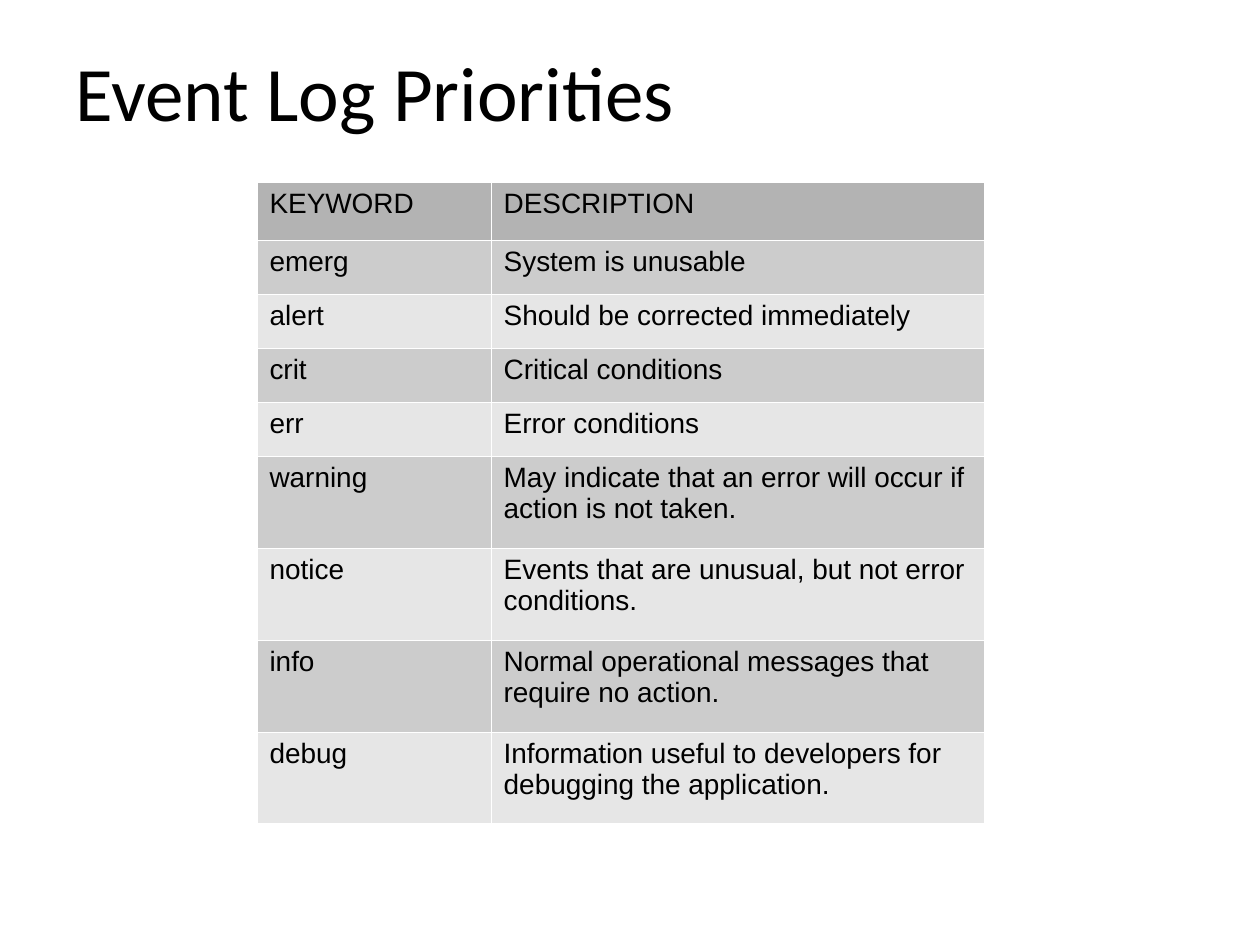
from dataclasses import dataclass

from lxml import etree
from pptx import Presentation
from pptx.dml.color import RGBColor
from pptx.enum.text import MSO_ANCHOR
from pptx.oxml.ns import qn
from pptx.util import Cm, Pt

TOP = MSO_ANCHOR.TOP
BLACK = RGBColor(0x00, 0x00, 0x00)
WHITE = RGBColor(0xFF, 0xFF, 0xFF)
HEADER_GRAY = RGBColor(0xB3, 0xB3, 0xB3)
BAND_GRAYS = (RGBColor(0xCC, 0xCC, 0xCC), RGBColor(0xE6, 0xE6, 0xE6))
BORDER_WIDTH = Pt(0.06)
COLUMN_WIDTHS = (Cm(4.72), Cm(9.93))
HEADER_HEIGHT, SINGLE_HEIGHT, DOUBLE_HEIGHT = Cm(1.17), Cm(1.09), Cm(1.85)
TITLE_FORMAT = {"name": "Calibri", "size": Pt(44)}
CELL_FORMAT = {"name": "Arial", "size": Pt(16), "bold": False}


@dataclass(frozen=True)
class Priority:
    """One row of the priority table."""
    keyword: str
    description: str
    height: int = SINGLE_HEIGHT


HEADER = Priority("KEYWORD", "DESCRIPTION", HEADER_HEIGHT)
PRIORITIES = (
    Priority("emerg", "System is unusable"),
    Priority("alert", "Should be corrected immediately"),
    Priority("crit", "Critical conditions"),
    Priority("err", "Error conditions"),
    Priority("warning", "May indicate that an error will occur if action is not taken.",
             DOUBLE_HEIGHT),
    Priority("notice", "Events that are unusual, but not error conditions.", DOUBLE_HEIGHT),
    Priority("info", "Normal operational messages that require no action.", DOUBLE_HEIGHT),
    Priority("debug", "Information useful to developers for debugging the application.",
             DOUBLE_HEIGHT),
)


def write_text(frame, text: str, font_format: dict) -> None:
    """Put one formatted black span into a text frame."""
    span = frame.paragraphs[0].add_run()
    span.text = text
    for name, value in font_format.items():
        setattr(span.font, name, value)
    span.font.color.rgb = BLACK


def add_borders(cell) -> None:
    """Draw a thin white line on every side of a cell."""
    properties = cell._tc.get_or_add_tcPr()
    for side in ("a:lnL", "a:lnR", "a:lnT", "a:lnB"):
        line = etree.SubElement(properties, qn(side), w=str(int(BORDER_WIDTH)))
        fill = etree.SubElement(line, qn("a:solidFill"))
        etree.SubElement(fill, qn("a:srgbClr"), val=str(WHITE))


def add_title(page, text: str) -> None:
    """Add the title box."""
    box = page.shapes.add_textbox(Cm(1.27), Cm(0.77), Cm(22.86), Cm(3.18))
    box.text_frame.word_wrap = True
    box.text_frame.vertical_anchor = TOP
    write_text(box.text_frame, text, TITLE_FORMAT)


def add_priority_table(page) -> None:
    """Add the table with a header row and alternating gray rows."""
    rows = (HEADER, *PRIORITIES)
    table = page.shapes.add_table(
        len(rows), len(COLUMN_WIDTHS), Cm(5.18), Cm(3.67),
        sum(COLUMN_WIDTHS), sum(row.height for row in rows)).table
    table.first_row = table.horz_banding = False
    for column, width in zip(table.columns, COLUMN_WIDTHS):
        column.width = width
    for index, row in enumerate(rows):
        table.rows[index].height = row.height
        color = BAND_GRAYS[(index - 1) % 2] if index else HEADER_GRAY
        for cell, text in zip(table.rows[index].cells, (row.keyword, row.description)):
            add_borders(cell)
            cell.fill.solid()
            cell.fill.fore_color.rgb = color
            write_text(cell.text_frame, text, CELL_FORMAT)


def build() -> None:
    """Build and save the deck."""
    deck = Presentation()
    deck.slide_width, deck.slide_height = Cm(25.4), Cm(19.05)
    page = deck.slides.add_slide(deck.slide_layouts[6])
    add_title(page, "Event Log Priorities")
    add_priority_table(page)
    deck.save("out.pptx")


build()
